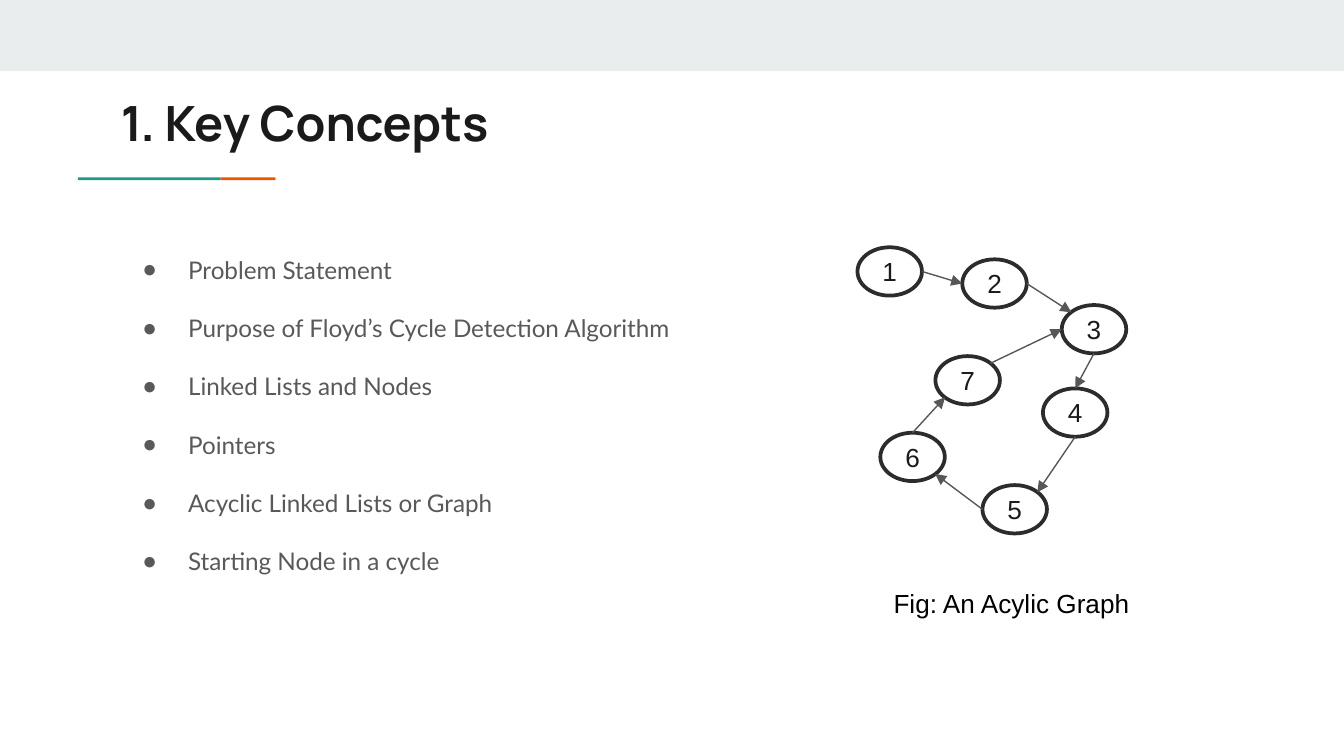
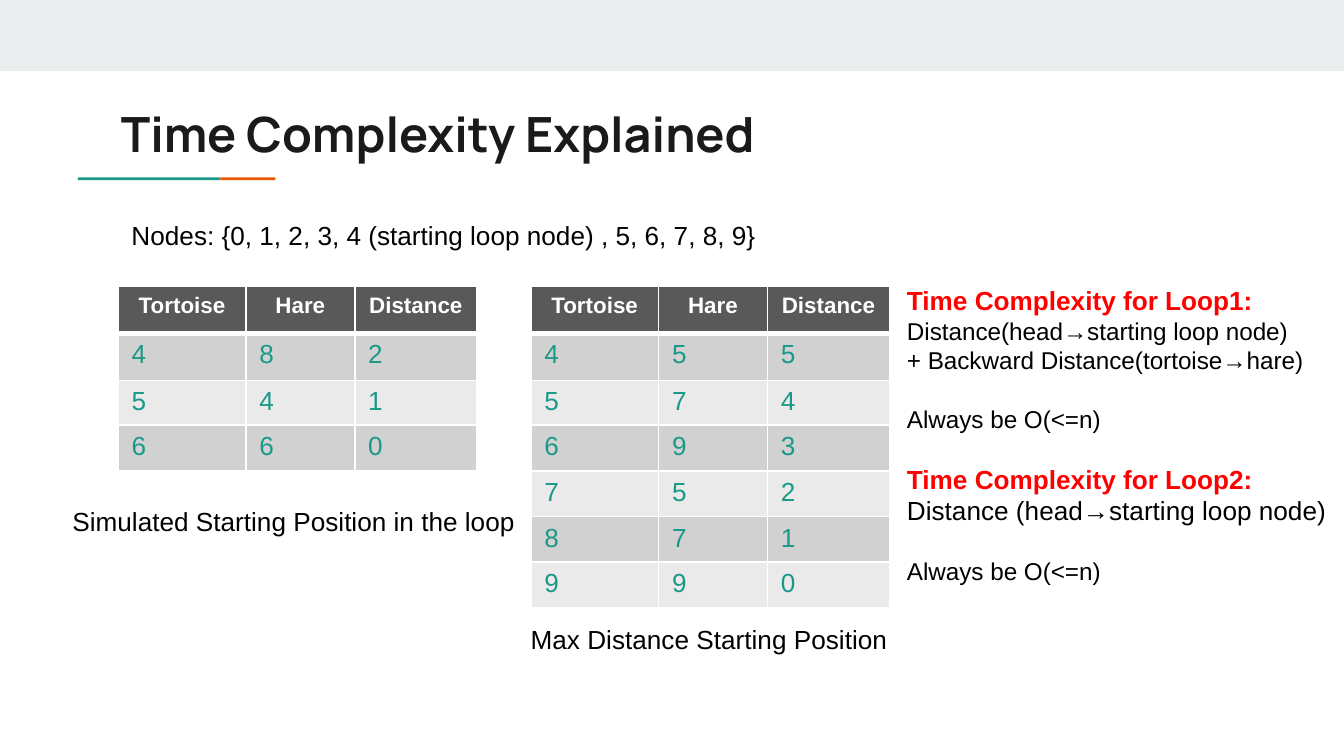
import pptx
import pptx.dml.color
import pptx.enum.shapes
import pptx.enum.text
import pptx.oxml
import pptx.oxml.ns
import pptx.util
import lxml.etree

PX = 9144
INK, GREY, TEAL, ORANGE = "1A1A1A", "595959", "1A9988", "EB5600"
BLACK, WHITE, RED = "000000", "FFFFFF", "FF0000"
BAND, NODE_LINE, ARROW = "E9EDEE", "2C2C2C", "575757"
STRIPES = ("D1D1D1", "EAEAEA")

CONCEPTS = (
    "Problem Statement",
    "Purpose of Floyd’s Cycle Detection Algorithm",
    "Linked Lists and Nodes",
    "Pointers",
    "Acyclic Linked Lists or Graph",
    "Starting Node in a cycle",
)
NODE_W, NODE_H = 48, 36
NODES = {1: (638, 184), 2: (716, 193), 3: (790, 227), 4: (776, 289),
         5: (731, 361), 6: (655, 322), 7: (696, 265)}
SITES = {"top": (0.5, 0), "bottom": (0.5, 1), "left": (0, 0.5), "right": (1, 0.5),
         "top left": (0.15, 0.15), "top right": (0.85, 0.15),
         "bottom left": (0.15, 0.85), "bottom right": (0.85, 0.85)}
EDGES = (
    (1, "right", 2, "left"),
    (2, "right", 3, "top left"),
    (3, "bottom", 4, "top"),
    (4, "bottom", 5, "top right"),
    (5, "left", 6, "bottom right"),
    (6, "top", 7, "bottom left"),
    (7, "top right", 3, "left"),
)
HEADINGS = ("Tortoise", "Hare", "Distance")
COLUMNS = (95, 81, 91)
ROWS = (35, 35, 28, 34, 34, 34, 34)
SIMULATED = ((4, 8, 2), (5, 4, 1), (6, 6, 0))
MAX_DISTANCE = ((4, 5, 5), (5, 7, 4), (6, 9, 3), (7, 5, 2), (8, 7, 1), (9, 9, 0))
GAP = 16
COMPLEXITY = (
    ("Time Complexity for Loop1:", 14, RED, True, 0),
    ("Distance(head→starting loop node)", 13, BLACK, False, 0),
    ("+ Backward Distance(tortoise→hare)", 13, BLACK, False, 0),
    ("Always be O(<=n)", 13, BLACK, False, GAP),
    ("Time Complexity for Loop2:", 14, RED, True, GAP),
    ("Distance (head→starting loop node)", 14, BLACK, False, 0),
    ("Always be O(<=n)", 13, BLACK, False, GAP),
)


def px(*lengths):
    """Turn px into EMU."""
    return [pptx.util.Emu(round(length * PX)) for length in lengths]


def rgb(code):
    """Turn a hex string into a colour."""
    return pptx.dml.color.RGBColor.from_string(code)


def style(paragraph, size, color, bold=False, face="Arial"):
    """Set the font of a whole paragraph."""
    font = paragraph.font
    font.size, font.bold, font.name = pptx.util.Pt(size), bold, face
    font.color.rgb = rgb(color)


def place(shape, left, top, width, height):
    """Move and size a placeholder."""
    shape.left, shape.top, shape.width, shape.height = px(left, top, width, height)


def prepare_frame(placeholder):
    """Give a placeholder even insets and top-anchored text, and return its frame."""
    frame = placeholder.text_frame
    frame.auto_size = pptx.enum.text.MSO_AUTO_SIZE.NONE
    frame.vertical_anchor = pptx.enum.text.MSO_ANCHOR.TOP
    frame.margin_left, frame.margin_top, frame.margin_right, frame.margin_bottom = px(10, 10, 10, 10)
    return frame


def add_bar(slide, left, top, width, height, color):
    """Add a plain coloured rectangle."""
    bar = slide.shapes.add_shape(pptx.enum.shapes.MSO_SHAPE.RECTANGLE,
                                 *px(left, top, width, height))
    bar.shadow.inherit = False
    bar.fill.solid()
    bar.fill.fore_color.rgb = rgb(color)
    bar.line.fill.background()


def add_slide(deck, layout, heading, top):
    """Add a slide with the shared band, rule and title."""
    slide = deck.slides.add_slide(deck.slide_layouts[layout])
    add_bar(slide, 0, 0, 1000, 53, BAND)
    add_bar(slide, 58, 132, 106, 2, TEAL)
    add_bar(slide, 164, 132, 41, 2, ORANGE)
    title = slide.shapes.title
    place(title, 80, top, 841, 59)
    frame = prepare_frame(title)
    frame.text = heading
    paragraph = frame.paragraphs[0]
    paragraph.alignment = pptx.enum.text.PP_ALIGN.LEFT
    style(paragraph, 26, INK, True, "Manrope")
    return slide


def set_bullet(paragraph, color):
    """Hang a round bullet before a paragraph."""
    properties = paragraph._p.get_or_add_pPr()
    indent, hang = px(50, -34)
    properties.set("marL", str(indent))
    properties.set("indent", str(hang))
    fill = pptx.oxml.parse_xml(
        f'<a:buClr {pptx.oxml.ns.nsdecls("a")}><a:srgbClr val="{color}"/></a:buClr>')
    mark = pptx.oxml.parse_xml(f'<a:buChar {pptx.oxml.ns.nsdecls("a")} char="●"/>')
    default_font = properties.find(pptx.oxml.ns.qn("a:defRPr"))
    default_font.addprevious(fill)
    default_font.addprevious(mark)


def fill_list(body, items):
    """Write a bulleted list into the body placeholder."""
    place(body, 80, 158, 841, 354)
    frame = prepare_frame(body)
    frame.text = "\n".join(items)
    for paragraph in frame.paragraphs:
        paragraph.line_spacing = 2.0
        paragraph.space_before = pptx.util.Pt(0)
        style(paragraph, 13, GREY, face="Lato")
        set_bullet(paragraph, GREY)


def add_node(slide, number, left, top):
    """Add a numbered graph node."""
    node = slide.shapes.add_shape(pptx.enum.shapes.MSO_SHAPE.OVAL,
                                  *px(left, top, NODE_W, NODE_H))
    node.shadow.inherit = False
    node.fill.background()
    node.line.color.rgb = rgb(NODE_LINE)
    node.line.width = pptx.util.Pt(2)
    node.text_frame.vertical_anchor = pptx.enum.text.MSO_ANCHOR.MIDDLE
    label = node.text_frame.paragraphs[0]
    label.text = str(number)
    label.alignment = pptx.enum.text.PP_ALIGN.CENTER
    style(label, 14, INK)


def site(number, side):
    """Return the point on a node's outline at the named side."""
    left, top = NODES[number]
    across, down = SITES[side]
    return px(left + across * NODE_W, top + down * NODE_H)


def add_edge(slide, source, source_side, target, target_side):
    """Add an arrow between two nodes."""
    edge = slide.shapes.add_connector(pptx.enum.shapes.MSO_CONNECTOR.STRAIGHT,
                                      *site(source, source_side), *site(target, target_side))
    edge.line.color.rgb = rgb(ARROW)
    edge.line.width = pptx.util.Pt(0.75)
    qn = pptx.oxml.ns.qn
    lxml.etree.SubElement(edge.line._get_or_add_ln(), qn("a:tailEnd"), type="triangle")
    lxml.etree.SubElement(edge._element.spPr, qn("a:effectLst"))


def add_text(slide, left, top, width, height, *lines):
    """Add unwrapped lines of (text, size, colour, bold, space before)."""
    box = slide.shapes.add_textbox(*px(left, top, width, height))
    frame = box.text_frame
    frame.word_wrap = False
    frame.auto_size = pptx.enum.text.MSO_AUTO_SIZE.SHAPE_TO_FIT_TEXT
    frame.text = "\n".join(line[0] for line in lines)
    for paragraph, (_, size, color, bold, gap) in zip(frame.paragraphs, lines):
        paragraph.space_before = pptx.util.Pt(gap)
        style(paragraph, size, color, bold)


def add_caption(slide, left, top, width, text):
    """Add one line of plain black text."""
    add_text(slide, left, top, width, 34, (text, 14, BLACK, False, 0))


def set_borders(cell, bottom):
    """Give a cell white borders with the stated bottom width."""
    for side, width in (("L", 1), ("R", 1), ("T", 1), ("B", bottom)):
        cell._tc.get_or_add_tcPr().append(pptx.oxml.parse_xml(
            f'<a:ln{side} {pptx.oxml.ns.nsdecls("a")} w="{pptx.util.Pt(width)}">'
            f'<a:solidFill><a:srgbClr val="{WHITE}"/></a:solidFill></a:ln{side}>'))


def fill_cell(cell, value, fill, is_heading):
    """Write and format one table cell."""
    set_borders(cell, 3 if is_heading else 1)
    cell.fill.solid()
    cell.fill.fore_color.rgb = rgb(fill)
    cell.text = str(value)
    paragraph = cell.text_frame.paragraphs[0]
    if is_heading:
        paragraph.alignment = pptx.enum.text.PP_ALIGN.CENTER
        style(paragraph, 12, WHITE, True)
    else:
        style(paragraph, 14, TEAL)


def add_steps_table(slide, left, top, steps):
    """Add a table of tortoise and hare positions."""
    heights = ROWS[:len(steps) + 1]
    table = slide.shapes.add_table(len(heights), len(COLUMNS),
                                   *px(left, top, sum(COLUMNS), sum(heights))).table
    for column, width in zip(table.columns, px(*COLUMNS)):
        column.width = width
    for row, height in zip(table.rows, px(*heights)):
        row.height = height
    for r, values in enumerate((HEADINGS, *steps)):
        fill = STRIPES[(r - 1) % 2] if r else GREY
        for c, value in enumerate(values):
            fill_cell(table.cell(r, c), value, fill, r == 0)


def build_concepts(deck):
    """Build the slide of key concepts with the graph."""
    slide = add_slide(deck, 1, "1. Key Concepts", 59)
    fill_list(slide.placeholders[1], CONCEPTS)
    for number, (left, top) in NODES.items():
        add_node(slide, number, left, top)
    for edge in EDGES:
        add_edge(slide, *edge)
    add_caption(slide, 655, 432, 199, "Fig: An Acylic Graph")


def build_complexity(deck):
    """Build the slide of time complexity with both tables."""
    slide = add_slide(deck, 5, "Time Complexity Explained", 67)
    add_caption(slide, 88, 158, 487, "Nodes: {0, 1, 2, 3, 4 (starting loop node) , 5, 6, 7, 8, 9}")
    add_steps_table(slide, 88, 213, SIMULATED)
    add_steps_table(slide, 395, 213, MAX_DISTANCE)
    add_caption(slide, 44, 371, 351, "Simulated Starting Position in the loop")
    add_caption(slide, 385, 459, 287, "Max Distance Starting Position")
    add_text(slide, 665, 207, 333, 234, *COMPLEXITY)


def main():
    """Build and save the deck."""
    deck = pptx.Presentation()
    deck.slide_width, = px(1000)
    deck.slide_height = deck.slide_width * 9 // 16
    build_concepts(deck)
    build_complexity(deck)
    deck.save("out.pptx")


if __name__ == "__main__":
    main()
